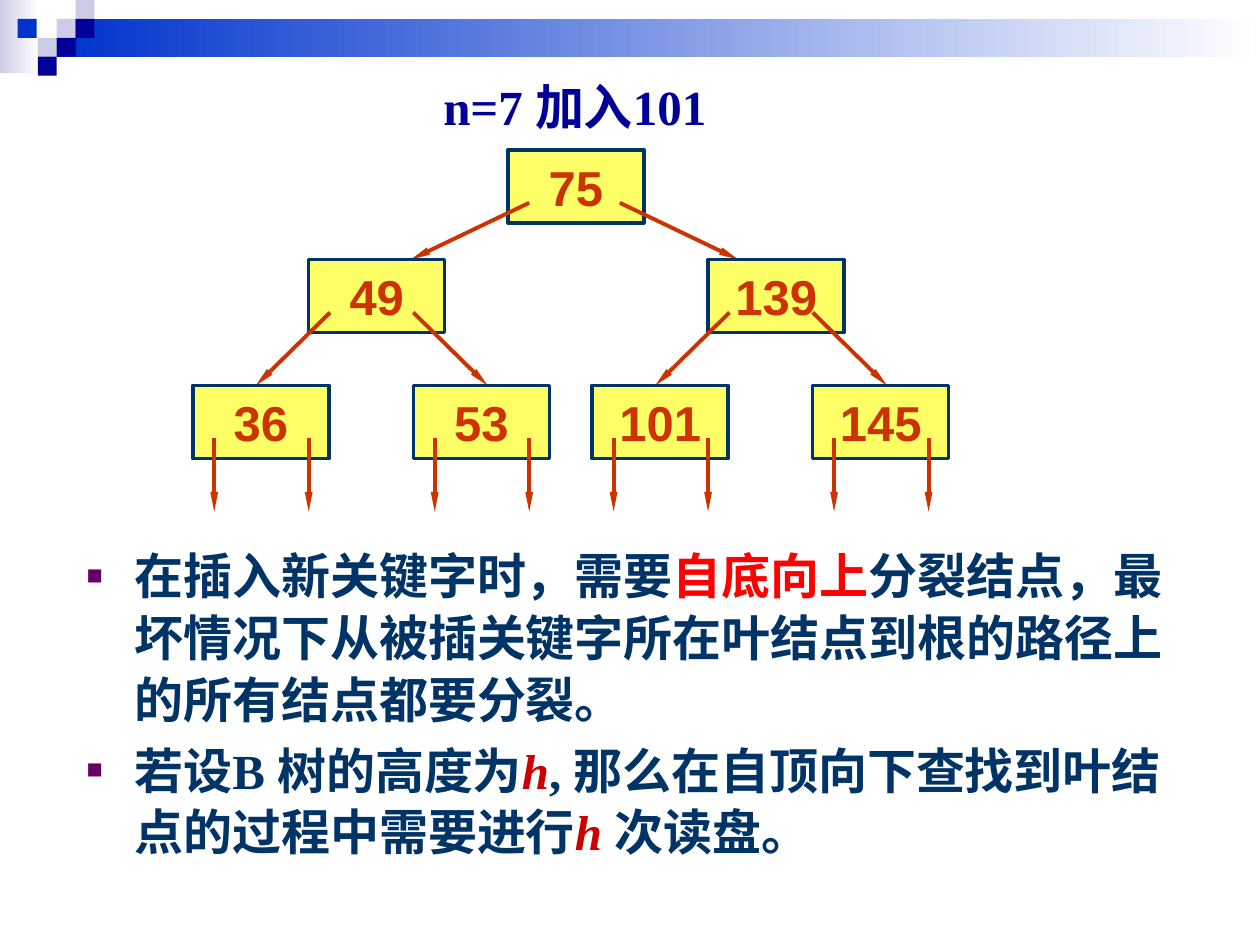
from lxml.etree import SubElement as Sub
from pptx import Presentation
from pptx.dml.color import RGBColor as RGB
from pptx.enum.shapes import MSO_CONNECTOR as LINK, MSO_SHAPE as SHAPE
from pptx.enum.text import MSO_ANCHOR as ANCHOR, PP_ALIGN as ALIGN
from pptx.oxml.ns import qn
from pptx.util import Pt

PX = 9144
NAVY, BLUE, PALE, INK, RUST = "000099", "0033CC", "CCCCE6", "003366", "CC3300"
RED, DARK = "FF0000", "CC0000"
SANS, SERIF = "Arial", "Times New Roman"

BANDS = [((0, 0, 31, 58), PALE), ((45, 15, 955, 30), BLUE)]
TILES = [(45, 15, PALE), (60, 0, PALE), (60, 15, NAVY), (30, 30, PALE),
         (14, 15, BLUE), (45, 30, NAVY), (30, 45, NAVY)]
TITLE = [("n=7 加入101", SERIF, NAVY, False)]
ROWS = [
    {"top": 119, "keys": [("75", 403)], "feet": (17, 89), "reach": 94},
    {"top": 206, "keys": [("49", 245), ("139", 562)], "feet": (17, 83), "reach": 59},
    {"top": 306, "keys": [("36", 153), ("53", 328), ("101", 470), ("145", 645)],
     "feet": (17, 92), "reach": 0},
]
ENDS = [row["top"] for row in ROWS[1:]] + [406]
NOTES = [
    [("在插入新关键字时，需要", SANS, INK, False),
     ("自底向上", SANS, RED, False),
     ("分裂结点，最坏情况下从被插关键字所在叶结点到根的路径上的所有结点都要分裂。", SANS, INK, False)],
    [("若", SANS, INK, False),
     ("设B 树的高度为", SERIF, INK, False),
     ("h", SERIF, DARK, True),
     (", 那么在自顶向下查找到叶结点的过程中需要进行", SERIF, INK, False),
     ("h ", SERIF, DARK, True),
     ("次读盘。", SERIF, INK, False)],
]


def paint(color, tone):
    color.rgb = RGB.from_string(tone)


def scale(*nums):
    return [n * PX for n in nums]


def write(para, runs):
    for text, face, tone, slant in runs:
        run = para.add_run()
        run.text = text
        font = run.font
        font.name, font.size, font.bold, font.italic = face, Pt(28), True, slant
        paint(font.color, tone)


def block(area, tone):
    shape = slide.shapes.add_shape(SHAPE.RECTANGLE, *scale(*area))
    shape.shadow.inherit = False
    shape.fill.solid()
    paint(shape.fill.fore_color, tone)
    shape.line.fill.background()
    return shape


def band(area, tone):
    fill = block(area, tone).fill
    fill.gradient()
    fill.gradient_angle = 0
    for stop, hue, place in zip(fill.gradient_stops, (tone, "FFFFFF"), (0, 1)):
        paint(stop.color, hue)
        stop.position = place


def node(text, left, top):
    shape = block((left, top, 108, 58), "FFFF66")
    paint(shape.line.color, INK)
    shape.line.width = Pt(2)
    frame = shape.text_frame
    frame.word_wrap = False
    frame.vertical_anchor = ANCHOR.MIDDLE
    para = frame.paragraphs[0]
    para.alignment = ALIGN.CENTER
    write(para, [(text, SANS, RUST, False)])


def arrow(*ends):
    link = slide.shapes.add_connector(LINK.STRAIGHT, *scale(*ends))
    paint(link.line.color, RUST)
    link.line.width = Pt(2.25)
    Sub(link.line._get_or_add_ln(), qn("a:tailEnd"), type="triangle", w="sm", len="lg")
    Sub(link._element.spPr, qn("a:effectLst"))


def bullet(para):
    props = para._p.get_or_add_pPr()
    props.set("marL", str(38 * PX))
    props.set("indent", str(-38 * PX))
    Sub(Sub(props, qn("a:buClr")), qn("a:srgbClr"), val="660066")
    Sub(props, qn("a:buSzPct"), val="55000")
    Sub(props, qn("a:buFont"), typeface=SANS)
    Sub(props, qn("a:buChar"), char="■")


def box(*area):
    frame = slide.shapes.add_textbox(*scale(*area)).text_frame
    frame.word_wrap = True
    return frame


deck = Presentation()
deck.slide_width, deck.slide_height = scale(1000, 750)
slide = deck.slides.add_slide(deck.slide_layouts[6])

for area, tone in BANDS:
    band(area, tone)
for left, top, tone in TILES:
    block((left, top, 15, 15), tone)

body = box(59, 426, 900, 295)
for i, runs in enumerate(NOTES):
    para = body.add_paragraph() if i else body.paragraphs[0]
    bullet(para)
    para.line_spacing = 1.05
    para.space_before = Pt(5.2 if i else 0)
    write(para, runs)

head = box(342, 56, 270, 57)
write(head.paragraphs[0], TITLE)

for row, end in zip(ROWS, ENDS):
    for text, left in row["keys"]:
        node(text, left, row["top"])
        for foot, side in zip(row["feet"], (-1, 1)):
            start = left + foot
            arrow(start, row["top"] + 42, start + side * row["reach"], end)

deck.save("out.pptx")
